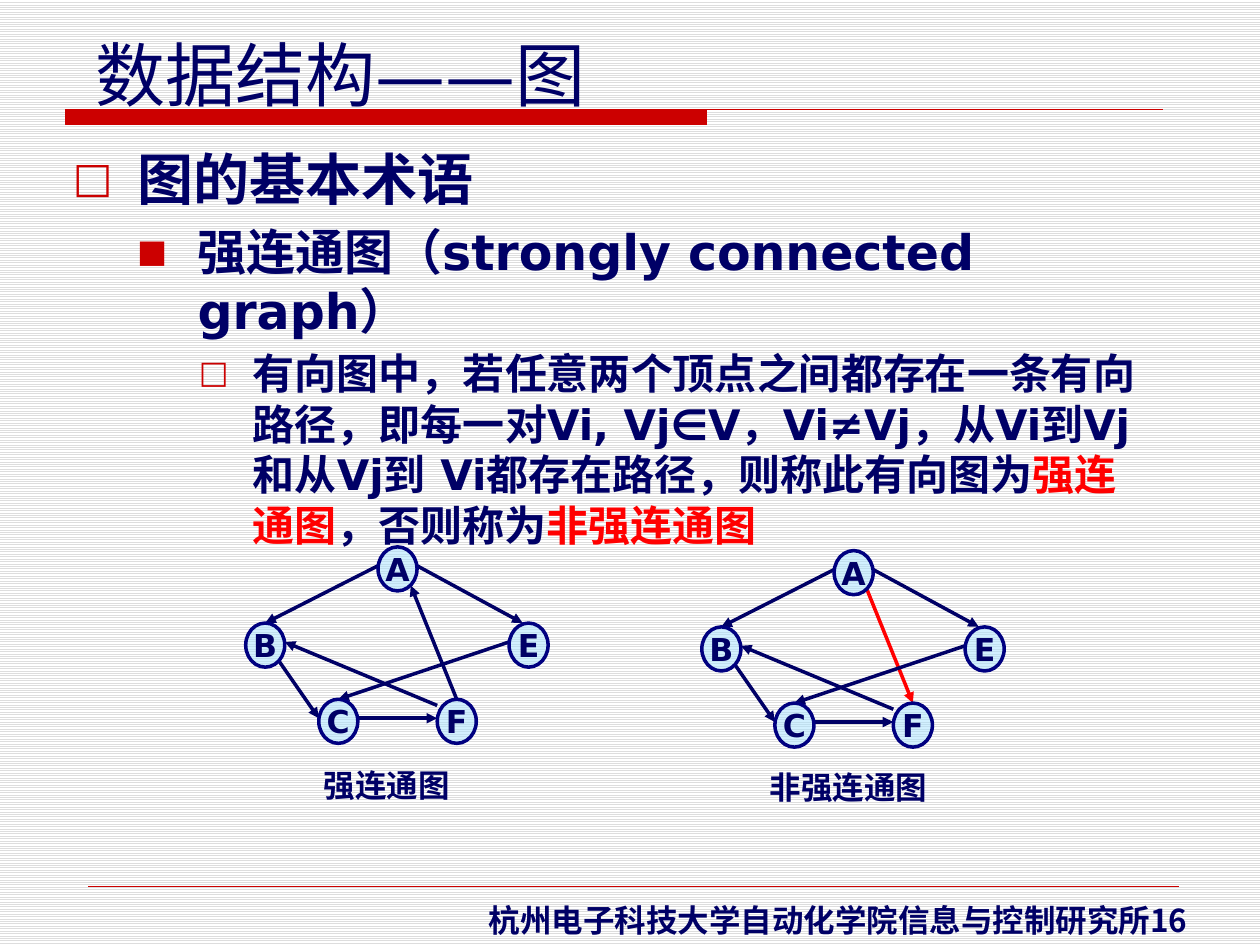
from lxml.etree import SubElement
from pptx import Presentation
from pptx.dml.color import RGBColor
from pptx.enum.dml import MSO_PATTERN
from pptx.enum.shapes import MSO_CONNECTOR, MSO_SHAPE
from pptx.enum.text import MSO_ANCHOR, MSO_AUTO_SIZE, PP_ALIGN
from pptx.oxml.ns import qn
from pptx.util import Inches, Pt

COLORS = {
    "ink": "000066", "accent": "CC0000", "alert": "FF0000", "node": "A7E2FF",
    "outline": "000080", "stripe": "DDDDDD", "paper": "FFFFFF",
}
COLUMNS, ROWS = 100, 75
NODE_SIZE = (3.1, 3.5)
NODES = {"A": (0, 0), "B": (-10.5, 6.05), "E": (10.4, 6.05), "C": (-4.7, 12.1), "F": (4.7, 12.1)}
EDGES = [
    ("A", (0, 0.43), "B", (0.5, 0)),
    ("B", (0.85, 0.86), "C", (0, 0.43)),
    ("C", (1, 0.43), "F", (0, 0.43)),
    ("F", (0.5, 0), "A", (0.84, 0.88)),
    ("A", (1, 0.43), "E", (0.35, 0)),
    ("F", (0, 0.14), "B", (1, 0.43)),
    ("E", (0, 0.43), "C", (0.5, 0)),
]
GRAPHS = [
    ((30, 43.4), (24.7, 60.3, 12.1, 4), "强连通图", False),
    ((66.2, 43.7), (60.1, 60.5, 14.6, 4), "非强连通图", True),
]
BODY = [
    (32, 0.51, -0.51, "□", 75, [("图的基本术语", "ink")]),
    (28, 0.99, -0.48, "■", 65, [("强连通图（strongly connected graph）", "ink")]),
    (24, 1.43, -0.43, "□", 75, [
        ("有向图中，若任意两个顶点之间都存在一条有向路径，即每一对Vi, Vj∈V，Vi≠Vj，"
         "从Vi到Vj 和从Vj到 Vi都存在路径，则称此有向图为", "ink"),
        ("强连通图", "alert"), ("，否则称为", "ink"), ("非强连通图", "alert"),
    ]),
]


class SlideBuilder:
    """Holds the deck's style and current slide, and draws elements on its grid."""

    def __init__(self):
        self.deck = Presentation()
        self.deck.slide_width, self.deck.slide_height = Inches(10), Inches(7.5)
        self.slide = self.deck.slides.add_slide(self.deck.slide_layouts[6])
        self.shapes = self.slide.shapes

    def color(self, name):
        return RGBColor.from_string(COLORS[name])

    def point(self, column, row):
        return (round(column * self.deck.slide_width / COLUMNS),
                round(row * self.deck.slide_height / ROWS))

    def frame(self, left, top, width, height):
        return self.point(left, top) + self.point(width, height)

    def background(self):
        fill = self.slide.background.fill
        fill.patterned()
        fill.pattern = MSO_PATTERN.LIGHT_HORIZONTAL
        fill.fore_color.rgb = self.color("stripe")
        fill.back_color.rgb = self.color("paper")

    def span(self, para, text, size, color="ink", face="DejaVu Sans", bold=True):
        span = para.add_run()
        span.text = text
        for name, value in {"size": Pt(size), "name": face, "bold": bold}.items():
            setattr(span.font, name, value)
        span.font.color.rgb = self.color(color)
        SubElement(span.font._element, qn("a:ea"), typeface="DejaVu Sans")

    def label(self, place, spans, size, **style):
        box = self.shapes.add_textbox(*self.frame(*place))
        box.text_frame.word_wrap = False
        box.text_frame.auto_size = MSO_AUTO_SIZE.SHAPE_TO_FIT_TEXT
        for text, face in spans:
            self.span(box.text_frame.paragraphs[0], text, size, face=face, **style)

    def outline(self, place, items):
        box = self.shapes.add_textbox(*self.frame(*place))
        box.text_frame.word_wrap = True
        for level, (size, margin, indent, mark, scale, spans) in enumerate(items):
            para = box.text_frame.paragraphs[0] if level == 0 else box.text_frame.add_paragraph()
            para.level = level
            para.space_before = Pt(0.2 * size if level else 0)
            properties = para._p.get_or_add_pPr()
            properties.set("marL", str(Inches(margin)))
            properties.set("indent", str(Inches(indent)))
            tint = SubElement(properties, qn("a:buClr"))
            SubElement(tint, qn("a:srgbClr"), val=COLORS["accent"])
            SubElement(properties, qn("a:buSzPct"), val=str(scale * 1000))
            SubElement(properties, qn("a:buFont"), typeface="DejaVu Sans")
            SubElement(properties, qn("a:buChar"), char=mark)
            for text, color in spans:
                self.span(para, text, size, color)

    def line(self, start, end, color, width, arrow=None):
        line = self.shapes.add_connector(
            MSO_CONNECTOR.STRAIGHT, *self.point(*start), *self.point(*end))
        line.line.color.rgb = self.color(color)
        line.line.width = Pt(width)
        SubElement(line._element.spPr, qn("a:effectLst"))
        if arrow:
            SubElement(line.line._get_or_add_ln(), qn(f"a:{arrow}"), type="triangle")

    def title_bar(self, left, top, bar_right, bottom, rule_right):
        builder = self.shapes.build_freeform(*self.point(left, top))
        corners = [(bar_right, top), (bar_right, bottom), (left, bottom)]
        builder.add_line_segments([self.point(*corner) for corner in corners], close=True)
        builder.move_to(*self.point(left, top))
        builder.add_line_segments([self.point(rule_right, top)], close=False)
        bar = builder.convert_to_shape()
        bar.shadow.inherit = False
        bar.fill.solid()
        bar.fill.fore_color.rgb = bar.line.color.rgb = self.color("accent")
        bar.line.width = Pt(0.75)

    def node(self, name, place):
        node = self.shapes.add_shape(MSO_SHAPE.OVAL, *self.frame(*place, *NODE_SIZE))
        node.shadow.inherit = False
        node.fill.solid()
        node.fill.fore_color.rgb = self.color("node")
        tint = node._element.spPr.find(qn("a:solidFill"))[0]
        SubElement(tint, qn("a:alpha"), val="50000")
        node.line.color.rgb = self.color("outline")
        node.line.width = Pt(2)
        node.text_frame.word_wrap = False
        node.text_frame.vertical_anchor = MSO_ANCHOR.MIDDLE
        para = node.text_frame.paragraphs[0]
        para.alignment = PP_ALIGN.CENTER
        self.span(para, name, 18)

    def graph(self, origin, caption_place, caption, reverse_fa):
        self.shapes = self.slide.shapes.add_group_shape().shapes
        places = {name: (origin[0] + column, origin[1] + row)
                  for name, (column, row) in NODES.items()}

        def anchor(name, share):
            return [place + part * size
                    for place, part, size in zip(places[name], share, NODE_SIZE)]

        for source, source_share, target, target_share in EDGES:
            turned = reverse_fa and (source, target) == ("F", "A")
            self.line(anchor(source, source_share), anchor(target, target_share),
                      "alert" if turned else "ink", 2, "headEnd" if turned else "tailEnd")
        for name, place in places.items():
            self.node(name, place)
        self.label(caption_place, [(caption, "DejaVu Sans")], 18)
        self.shapes = self.slide.shapes


def main():
    page = SlideBuilder()
    page.background()
    page.title_bar(5.2, 8.7, 56.1, 9.9, 92.3)
    page.line((7, 70.3), (93.6, 70.3), "accent", 0.25)
    page.label((6.6, 2, 40.9, 7.7),
               [("数据结构", "DejaVu Sans"), ("——", "Arial"), ("图", "DejaVu Sans")], 40, bold=False)
    page.label((37.8, 71, 61.1, 4),
               [("杭州电子科技大学自动化学院信息与控制研究所16", "Noto Sans CJK SC")], 18)
    page.outline((4.8, 11, 87.6, 62.2), BODY)
    for graph in GRAPHS:
        page.graph(*graph)
    page.deck.save("out.pptx")


if __name__ == "__main__":
    main()
